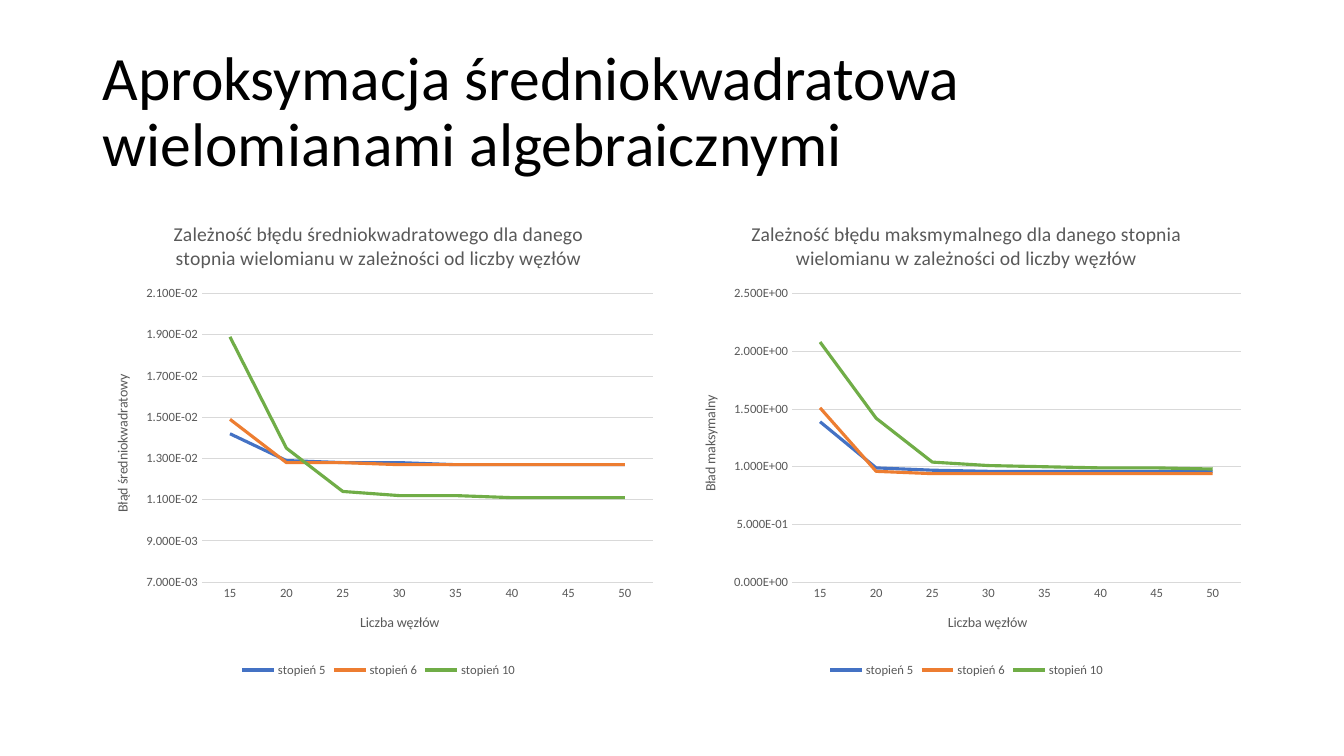
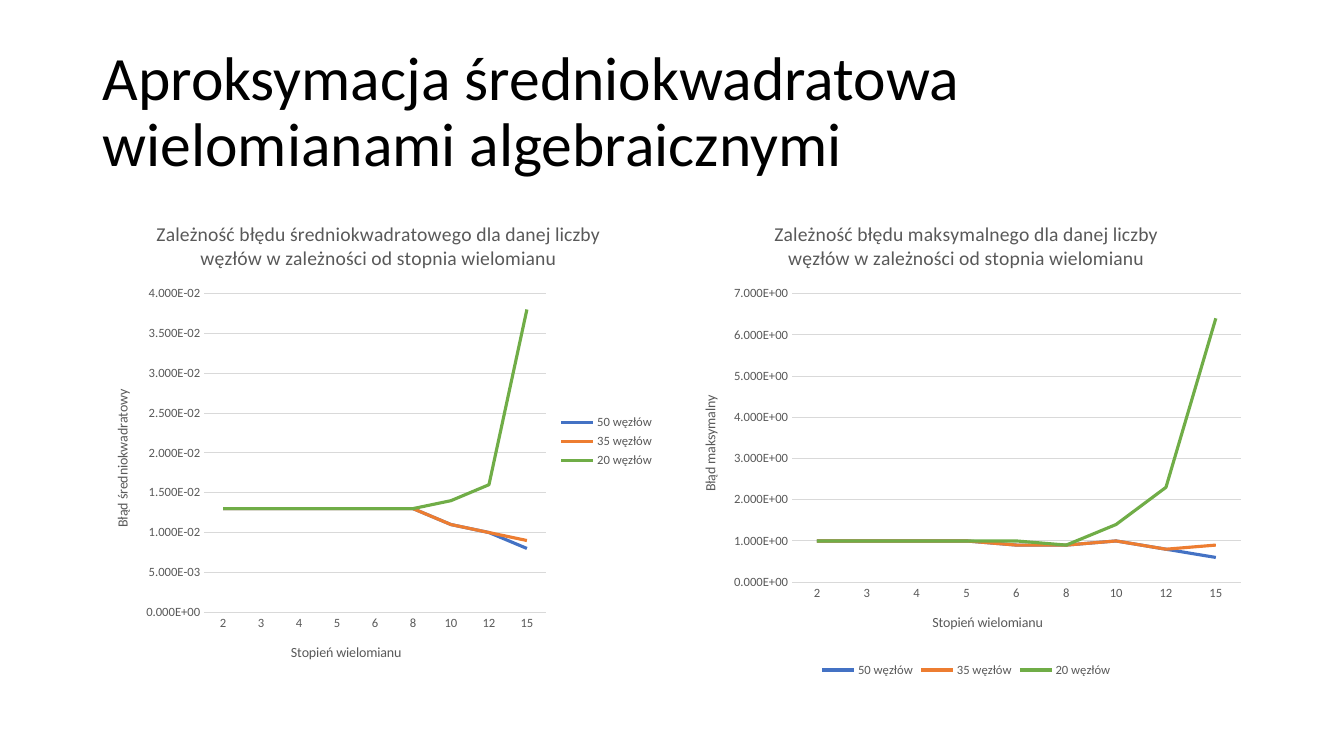
"""Builds two slides comparing errors of least-squares polynomial approximation."""
from pptx import Presentation
from pptx.chart.data import CategoryChartData
from pptx.dml.color import RGBColor
from pptx.enum.chart import XL_CHART_TYPE, XL_LEGEND_POSITION, XL_TICK_MARK
from pptx.enum.text import MSO_ANCHOR
from pptx.util import Inches, Pt

FONT = "Calibri"
COLORS = {"title": "000000", "text": "595959", "grid": "D9D9D9"}
SERIES_COLORS = ["4472C4", "ED7D31", "70AD47"]
MARGIN, CONTENT_W, GAP = 0.92, 11.5, 0.16
TITLE_TOP, TITLE_H = 0.4, 1.45
CHART_TOP, CHART_H = 2, 4.76
CHART_W = (CONTENT_W - GAP) / 2

TITLE = "Aproksymacja średniokwadratowa wielomianami algebraicznymi"
BOTTOM, RIGHT = XL_LEGEND_POSITION.BOTTOM, XL_LEGEND_POSITION.RIGHT

SLIDES = [
    {
        "x_title": "Liczba węzłów",
        "categories": ["15", "20", "25", "30", "35", "40", "45", "50"],
        "series": ["stopień 5", "stopień 6", "stopień 10"],
        "charts": [
            {
                "title": "Zależność błędu średniokwadratowego dla danego stopnia "
                         "wielomianu w zależności od liczby węzłów",
                "y_title": "Błąd średniokwadratowy",
                "scale": (0.007, 0.021, 0.002),
                "legend": BOTTOM,
                "values": [
                    [0.0142, 0.0129, 0.0128, 0.0128, 0.0127, 0.0127, 0.0127, 0.0127],
                    [0.0149, 0.0128, 0.0128, 0.0127, 0.0127, 0.0127, 0.0127, 0.0127],
                    [0.0189, 0.0135, 0.0114, 0.0112, 0.0112, 0.0111, 0.0111, 0.0111],
                ],
            },
            {
                "title": "Zależność błędu maksmymalnego dla danego stopnia "
                         "wielomianu w zależności od liczby węzłów",
                "y_title": "Bład maksymalny",
                "scale": (0, 2.5, 0.5),
                "legend": BOTTOM,
                "values": [
                    [1.39, 0.99, 0.97, 0.96, 0.96, 0.96, 0.96, 0.96],
                    [1.51, 0.96, 0.94, 0.94, 0.94, 0.94, 0.94, 0.94],
                    [2.08, 1.42, 1.04, 1.01, 1, 0.99, 0.99, 0.98],
                ],
            },
        ],
    },
    {
        "x_title": "Stopień wielomianu",
        "categories": ["2", "3", "4", "5", "6", "8", "10", "12", "15"],
        "series": ["50 węzłów", "35 węzłów", "20 węzłów"],
        "charts": [
            {
                "title": "Zależność błędu średniokwadratowego dla danej liczby "
                         "węzłów w zależności od stopnia wielomianu",
                "y_title": "Błąd średniokwadratowy",
                "scale": (0, 0.04, 0.005),
                "legend": RIGHT,
                "values": [
                    [0.013, 0.013, 0.013, 0.013, 0.013, 0.013, 0.011, 0.01, 0.008],
                    [0.013, 0.013, 0.013, 0.013, 0.013, 0.013, 0.011, 0.01, 0.009],
                    [0.013, 0.013, 0.013, 0.013, 0.013, 0.013, 0.014, 0.016, 0.038],
                ],
            },
            {
                "title": "Zależność błędu maksymalnego dla danej liczby "
                         "węzłów w zależności od stopnia wielomianu",
                "y_title": "Błąd maksymalny",
                "scale": (0, 7, 1),
                "legend": BOTTOM,
                "values": [
                    [1, 1, 1, 1, 0.9, 0.9, 1, 0.8, 0.6],
                    [1, 1, 1, 1, 0.9, 0.9, 1, 0.8, 0.9],
                    [1, 1, 1, 1, 1, 0.9, 1.4, 2.3, 6.4],
                ],
            },
        ],
    },
]


def style_font(font, size, color=COLORS["text"]):
    font.name = FONT
    font.size = Pt(size)
    font.bold = False
    font.color.rgb = RGBColor.from_string(color)


def style_line(line, color, width):
    line.color.rgb = RGBColor.from_string(color)
    line.width = Pt(width)


def set_title(owner, text, size):
    p = owner.text_frame.paragraphs[0]
    p.text = text
    style_font(p.font, size)


def add_title(slide):
    box = slide.shapes.add_textbox(Inches(MARGIN), Inches(TITLE_TOP),
                                   Inches(CONTENT_W), Inches(TITLE_H))
    tf = box.text_frame
    tf.word_wrap = True
    tf.vertical_anchor = MSO_ANCHOR.MIDDLE
    p = tf.paragraphs[0]
    p.text = TITLE
    p.line_spacing = 0.9
    style_font(p.font, 44, COLORS["title"])


def style_axis(axis, title):
    axis.major_tick_mark = axis.minor_tick_mark = XL_TICK_MARK.NONE
    style_font(axis.tick_labels.font, 9)
    set_title(axis.axis_title, title, 10)


def add_line_chart(slide, column, topic, item):
    data = CategoryChartData(number_format="0.000E+00")
    data.categories = topic["categories"]
    for name, values in zip(topic["series"], item["values"]):
        data.add_series(name, values)
    left = MARGIN + column * (CHART_W + GAP)
    chart = slide.shapes.add_chart(
        XL_CHART_TYPE.LINE, Inches(left), Inches(CHART_TOP),
        Inches(CHART_W), Inches(CHART_H), data).chart
    style_font(chart.font, 10)
    set_title(chart.chart_title, item["title"], 14)
    chart.chart_title.include_in_layout = False

    chart.has_legend = True
    chart.legend.position = item["legend"]
    chart.legend.include_in_layout = False
    style_font(chart.legend.font, 9)

    style_axis(chart.category_axis, topic["x_title"])
    style_line(chart.category_axis.format.line, COLORS["grid"], 0.75)

    axis = chart.value_axis
    style_axis(axis, item["y_title"])
    axis.minimum_scale, axis.maximum_scale, axis.major_unit = item["scale"]
    axis.format.line.fill.background()
    axis.tick_labels.number_format = "0.000E+00"
    axis.tick_labels.number_format_is_linked = False
    style_line(axis.major_gridlines.format.line, COLORS["grid"], 0.75)

    plot = chart.plots[0]
    plot.vary_by_categories = False
    for series, color in zip(plot.series, SERIES_COLORS):
        series.smooth = False
        style_line(series.format.line, color, 2.25)


def main():
    prs = Presentation()
    prs.slide_width, prs.slide_height = Inches(13.33), Inches(7.5)
    for topic in SLIDES:
        slide = prs.slides.add_slide(prs.slide_layouts[6])
        add_title(slide)
        for column, item in enumerate(topic["charts"]):
            add_line_chart(slide, column, topic, item)
    prs.save("out.pptx")


if __name__ == "__main__":
    main()
